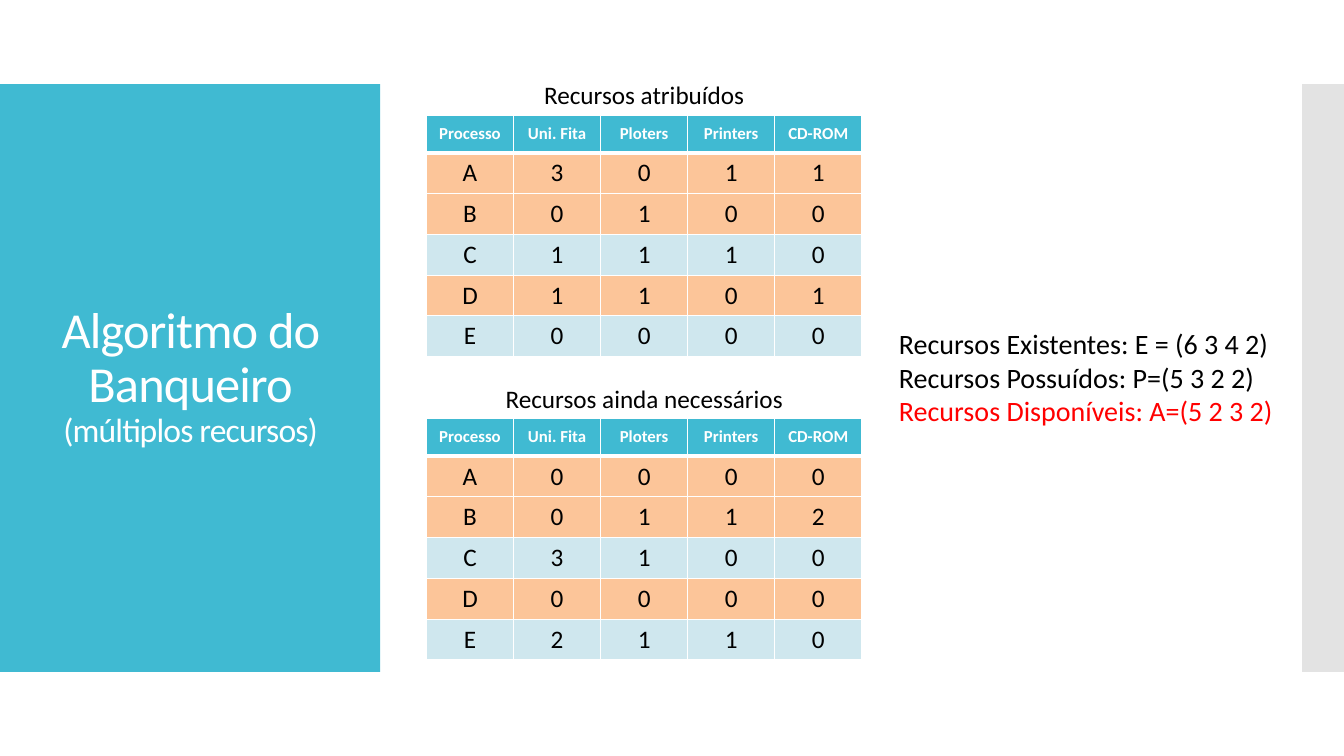
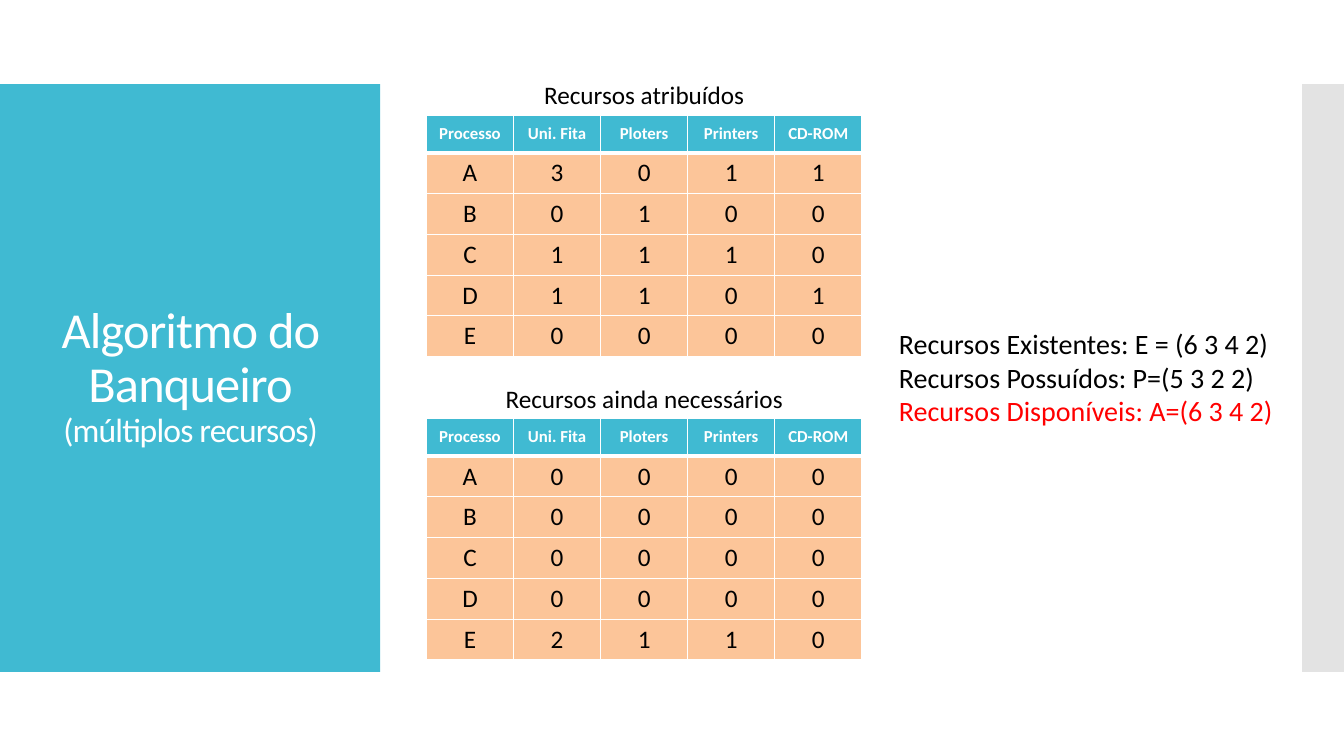
from dataclasses import dataclass
from typing import NamedTuple

from lxml import etree
from pptx import Presentation
from pptx import util as u
from pptx.dml.color import RGBColor
from pptx.enum import shapes, text
from pptx.oxml import ns

WIDTH, HEIGHT = u.Inches(13.333), u.Inches(7.5)

FONT = "Calibri"
TEAL = RGBColor(0x40, 0xBA, 0xD2)
GREY = RGBColor(0xE3, 0xE3, 0xE3)
ORANGE = RGBColor(0xFC, 0xC5, 0x99)
PALE_BLUE = RGBColor(0xCF, 0xE7, 0xEE)
WHITE = RGBColor(0xFF, 0xFF, 0xFF)
BLACK = RGBColor(0, 0, 0)
RED = RGBColor(0xFF, 0, 0)

HEADERS = ("Processo", "Uni. Fita", "Ploters", "Printers", "CD-ROM")
PROCESSES = "ABCDE"


def across(percent: float) -> u.Emu:
    return u.Emu(round(WIDTH * percent / 100))


def down(percent: float) -> u.Emu:
    return u.Emu(round(HEIGHT * percent / 100))


class Area(NamedTuple):
    """A rectangle in percent of the slide's width and height."""
    left: float
    top: float
    width: float
    height: float

    def emu(self) -> tuple[u.Emu, ...]:
        return (across(self.left), down(self.top),
                across(self.width), down(self.height))


BAND_TOP, BAND_HEIGHT = 100 / 9, 700 / 9
TITLE_BAND = Area(0, BAND_TOP, 28.28, BAND_HEIGHT)
EDGE_BAND = Area(96.88, BAND_TOP, 3.12, BAND_HEIGHT)
TITLE = Area(2.1, 16.4, 24.15, 67.07)
TOTALS = Area(66.15, 42.53, 29.7, 14.8)

TABLE_LEFT, TABLE_WIDTH = 31.73, 32.4
TABLE_TOP, TABLE_PITCH = 15.2, 40.13
HEADER_HEIGHT, ROW_HEIGHT, CAPTION_HEIGHT = 5, 5.4, 5.33


@dataclass(frozen=True)
class Step:
    """One state of the algorithm; each word of digits is a process's row."""
    assigned: str
    needed: str
    highlighted: str
    available: str


STEPS = (
    Step("3011 0100 1110 1101 0000", "0000 0112 3100 0000 2110",
         "ABD", "5 2 3 2"),
    Step("3011 0100 1110 1101 0000", "0000 0000 0000 0000 2110",
         "ABCDE", "6 3 4 2"),
)


def style(p, size: float, colour: RGBColor, bold: bool = False) -> None:
    p.font.name = FONT
    p.font.size = u.Pt(size)
    p.font.color.rgb = colour
    p.font.bold = bold


def add_band(s, area: Area, colour: RGBColor) -> None:
    sp = s.shapes.add_shape(shapes.MSO_SHAPE.RECTANGLE, *area.emu())
    sp.shadow.inherit = False
    sp.fill.solid()
    sp.fill.fore_color.rgb = colour
    sp.line.fill.background()


def add_title(s) -> None:
    tf = s.shapes.add_textbox(*TITLE.emu()).text_frame
    tf.word_wrap = True
    tf.vertical_anchor = text.MSO_ANCHOR.MIDDLE
    p = tf.paragraphs[0]
    p.alignment = text.PP_ALIGN.CENTER
    p.line_spacing = 0.9
    style(p, 36, WHITE)
    main = p.add_run()
    main.text = "Algoritmo do Banqueiro"
    p.add_line_break()
    detail = p.add_run()
    detail.text = "(múltiplos recursos)"
    detail.font.size = u.Pt(24)
    for r in (main, detail):
        r._r.get_or_add_rPr().set("spc", "-60")


def add_borders(cell, top: float, bottom: float) -> None:
    """Draw white cell borders; call before filling the cell."""
    props = cell._tc.get_or_add_tcPr()
    for side, points in (("L", 1), ("R", 1), ("T", top), ("B", bottom)):
        line = etree.SubElement(props, ns.qn(f"a:ln{side}"),
                                w=str(u.Pt(points)))
        fill = etree.SubElement(line, ns.qn("a:solidFill"))
        etree.SubElement(fill, ns.qn("a:srgbClr"), val=str(WHITE))


def fill_row(table, row: int, values: tuple[str, ...], colour: RGBColor) -> None:
    header = row == 0
    for column, value in enumerate(values):
        cell = table.cell(row, column)
        add_borders(cell, 3 if row == 1 else 1, 3 if header else 1)
        cell.fill.solid()
        cell.fill.fore_color.rgb = colour
        cell.vertical_anchor = text.MSO_ANCHOR.MIDDLE
        p = cell.text_frame.paragraphs[0]
        p.text = value
        p.alignment = text.PP_ALIGN.CENTER
        style(p, 12 if header else 18, WHITE if header else BLACK, header)


def add_resources(s, position: int, caption: str, digits: str,
                  highlighted: str) -> None:
    """Draw a captioned table in the given place of the middle column."""
    top = TABLE_TOP + position * TABLE_PITCH
    height = HEADER_HEIGHT + len(PROCESSES) * ROW_HEIGHT
    area = Area(TABLE_LEFT, top, TABLE_WIDTH, height)
    table = s.shapes.add_table(len(PROCESSES) + 1, len(HEADERS),
                               *area.emu()).table
    table.horz_banding = False
    for column in table.columns:
        column.width = across(TABLE_WIDTH / len(HEADERS))
    for i, row in enumerate(table.rows):
        row.height = down(ROW_HEIGHT if i else HEADER_HEIGHT)

    fill_row(table, 0, HEADERS, TEAL)
    for i, (name, row) in enumerate(zip(PROCESSES, digits.split()), 1):
        fill_row(table, i, (name, *row),
                 ORANGE if name in highlighted else PALE_BLUE)

    label = Area(TABLE_LEFT, top - CAPTION_HEIGHT, TABLE_WIDTH, CAPTION_HEIGHT)
    tf = s.shapes.add_textbox(*label.emu()).text_frame
    tf.word_wrap = True
    p = tf.paragraphs[0]
    p.text = caption
    p.alignment = text.PP_ALIGN.CENTER
    style(p, 18, BLACK)


def add_totals(s, available: str) -> None:
    tf = s.shapes.add_textbox(*TOTALS.emu()).text_frame
    tf.word_wrap = False
    tf.auto_size = text.MSO_AUTO_SIZE.SHAPE_TO_FIT_TEXT
    lines = (
        ("Recursos Existentes: E = (6 3 4 2)", BLACK),
        ("Recursos Possuídos: P=(5 3 2 2)", BLACK),
        (f"Recursos Disponíveis: A=({available})", RED),
    )
    tf.text = "\n".join(line for line, _ in lines)
    for p, (_, colour) in zip(tf.paragraphs, lines):
        style(p, 20, colour)


def add_step(prs, step: Step) -> None:
    s = prs.slides.add_slide(prs.slide_layouts[6])
    add_band(s, TITLE_BAND, TEAL)
    add_band(s, EDGE_BAND, GREY)
    add_title(s)
    add_resources(s, 0, "Recursos atribuídos", step.assigned, step.highlighted)
    add_resources(s, 1, "Recursos ainda necessários", step.needed,
                  step.highlighted)
    add_totals(s, step.available)


def main() -> None:
    prs = Presentation()
    prs.slide_width, prs.slide_height = WIDTH, HEIGHT
    for step in STEPS:
        add_step(prs, step)
    prs.save("out.pptx")


if __name__ == "__main__":
    main()
